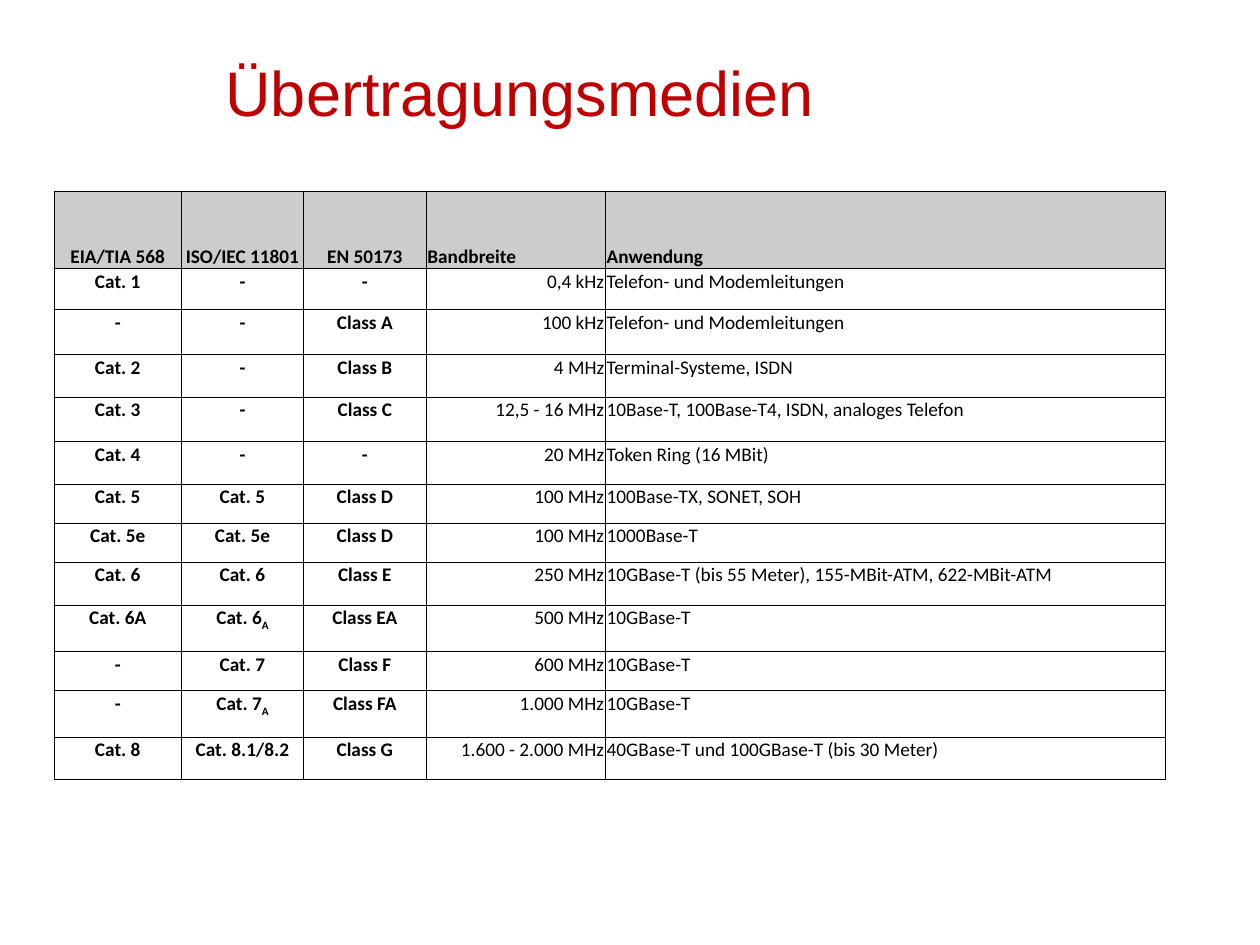
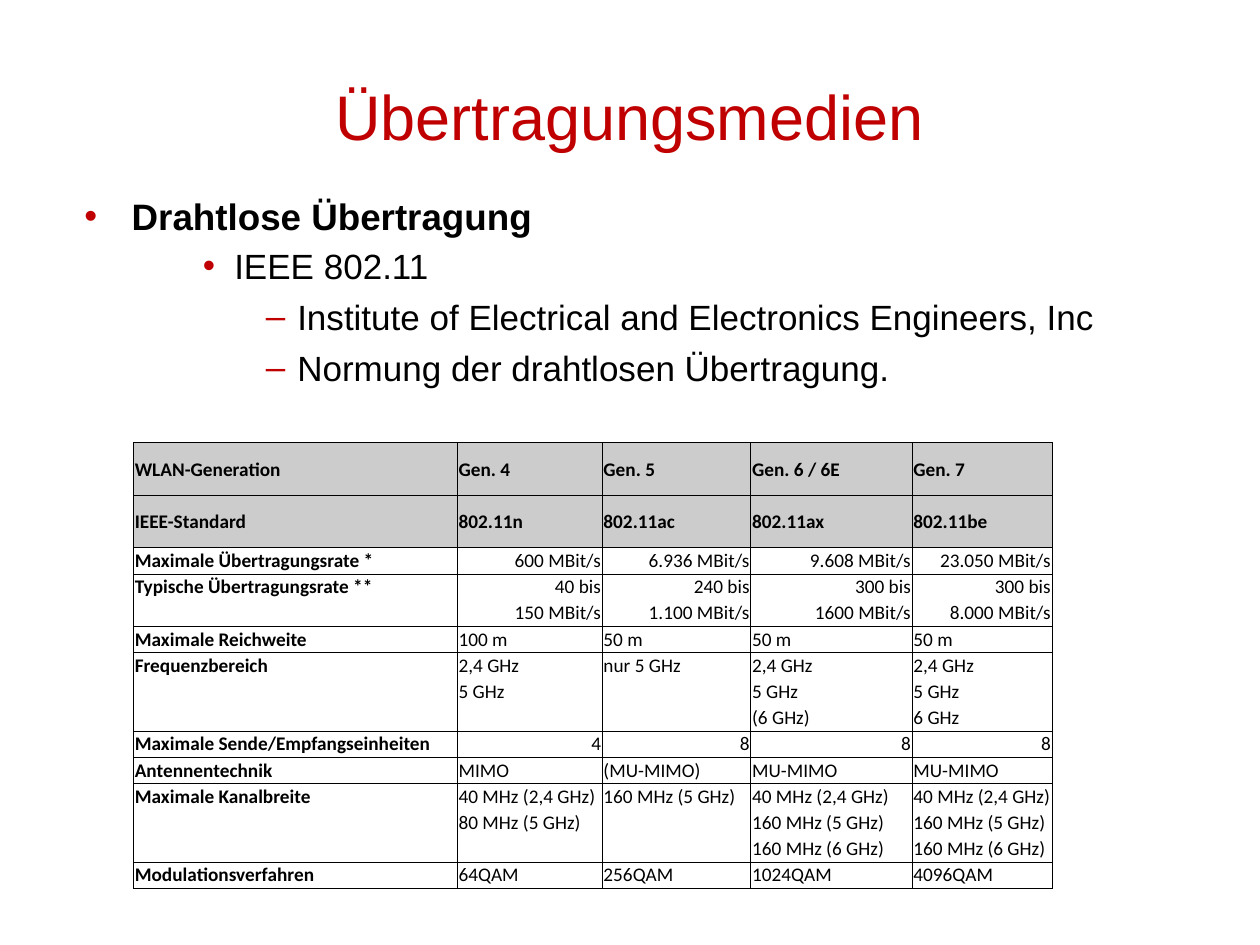
from lxml.etree import SubElement
from pptx import Presentation
from pptx.dml.color import RGBColor
from pptx.enum.text import MSO_ANCHOR as ANCHOR, PP_ALIGN as ALIGN
from pptx.oxml.ns import qn
from pptx.util import Emu, Pt

# Shared scale, colours and type
PX_PER_INCH = 1000
RED, BLACK, GREY = "C00000", "000000", "CCCCCC"
TEXT_FONT, TABLE_FONT = "Arial", "Calibri"
TABLE_SIZE = 11
TITLE = "Übertragungsmedien"

# Cable categories: EIA/TIA, ISO/IEC, EN, bandwidth, use ("_" starts a subscript)
CABLE_HEAD = ("EIA/TIA 568", "ISO/IEC 11801", "EN 50173", "Bandbreite", "Anwendung")
CABLE_ROWS = [
    ("Cat. 1", "-", "-", "0,4 kHz", "Telefon- und Modemleitungen"),
    ("-", "-", "Class A", "100 kHz", "Telefon- und Modemleitungen"),
    ("Cat. 2", "-", "Class B", "4 MHz", "Terminal-Systeme, ISDN"),
    ("Cat. 3", "-", "Class C", "12,5 - 16 MHz",
     "10Base-T, 100Base-T4, ISDN, analoges Telefon"),
    ("Cat. 4", "-", "-", "20 MHz", "Token Ring (16 MBit)"),
    ("Cat. 5", "Cat. 5", "Class D", "100 MHz", "100Base-TX, SONET, SOH"),
    ("Cat. 5e", "Cat. 5e", "Class D", "100 MHz", "1000Base-T"),
    ("Cat. 6", "Cat. 6", "Class E", "250 MHz",
     "10GBase-T (bis 55 Meter), 155-MBit-ATM, 622-MBit-ATM"),
    ("Cat. 6A", "Cat. 6_A", "Class EA", "500 MHz", "10GBase-T"),
    ("-", "Cat. 7", "Class F", "600 MHz", "10GBase-T"),
    ("-", "Cat. 7_A", "Class FA", "1.000 MHz", "10GBase-T"),
    ("Cat. 8", "Cat. 8.1/8.2", "Class G", "1.600 - 2.000 MHz",
     "40GBase-T und 100GBase-T (bis 30 Meter)"),
]
CABLE_COLS = (1010, 970, 973, 1423, 4444)
CABLE_HEIGHTS = (615, 325, 355, 340, 350, 340, 310, 310, 340, 370, 310, 370, 335)

# WLAN generations: alignment of the values, then label and values;
# each line of a value takes a table row, a lone line spans its whole group
WLAN_HEAD = [
    ("WLAN-Generation", "Gen. 4", "Gen. 5", "Gen. 6 / 6E", "Gen. 7"),
    ("IEEE-Standard", "802.11n", "802.11ac", "802.11ax", "802.11be"),
]
WLAN_GROUPS = [
    (ALIGN.RIGHT, ("Maximale Übertragungsrate *", "600 MBit/s", "6.936 MBit/s",
                   "9.608 MBit/s", "23.050 MBit/s")),
    (ALIGN.RIGHT, ("Typische Übertragungsrate **", "40 bis\n150 MBit/s",
                   "240 bis\n1.100 MBit/s", "300 bis\n1600 MBit/s",
                   "300 bis\n8.000 MBit/s")),
    (ALIGN.LEFT, ("Maximale Reichweite", "100 m", "50 m", "50 m", "50 m")),
    (ALIGN.LEFT, ("Frequenzbereich", "2,4 GHz\n5 GHz", "nur 5 GHz",
                  "2,4 GHz\n5 GHz\n(6 GHz)", "2,4 GHz\n5 GHz\n6 GHz")),
    (ALIGN.RIGHT, ("Maximale Sende/Empfangseinheiten", "4", "8", "8", "8")),
    (ALIGN.LEFT, ("Antennentechnik", "MIMO", "(MU-MIMO)", "MU-MIMO", "MU-MIMO")),
    (ALIGN.LEFT, ("Maximale Kanalbreite", "40 MHz (2,4 GHz)\n80 MHz (5 GHz)",
                  "160 MHz (5 GHz)",
                  "40 MHz (2,4 GHz)\n160 MHz (5 GHz)\n160 MHz (6 GHz)",
                  "40 MHz (2,4 GHz)\n160 MHz (5 GHz)\n160 MHz (6 GHz)")),
    (ALIGN.LEFT, ("Modulationsverfahren", "64QAM", "256QAM", "1024QAM", "4096QAM")),
]
WLAN_COLS = (2570, 1150, 1180, 1280, 1110)
WLAN_HEAD_HEIGHT, WLAN_LINE_HEIGHT = 418, 208


def px(n):
    return Emu(round(n * 914400 / PX_PER_INCH))


def rgb(color):
    return RGBColor.from_string(color)


# Text
def add_text(p, text, size=20, color=BLACK, bold=False, font=TEXT_FONT,
             align=ALIGN.LEFT, line=None, before=0):
    p.alignment = align
    p.space_before = Pt(before)
    if line:
        p.line_spacing = Pt(line)
    for i, part in enumerate(text.split("_")):
        r = p.add_run()
        r.text = part
        r.font.size, r.font.bold, r.font.name = Pt(size), bold, font
        r.font.color.rgb = rgb(color)
        if i:
            r.font._element.set("baseline", "-25000")


def add_box(s, x, y, w, h):
    tf = s.shapes.add_textbox(px(x), px(y), px(w), px(h)).text_frame
    tf.word_wrap = True
    tf.margin_left = tf.margin_top = tf.margin_right = tf.margin_bottom = 0
    return tf


def add_title(s, x, y, w, align=ALIGN.LEFT):
    p = add_box(s, x, y, w, 600).paragraphs[0]
    add_text(p, TITLE, size=36, color=RED, align=align, line=40.2)


def add_bullet(p, char, text, left, hang, **fmt):
    pPr = p._p.get_or_add_pPr()
    pPr.set("marL", str(px(left)))
    pPr.set("indent", str(-px(hang)))
    color = SubElement(pPr, qn("a:buClr"))
    SubElement(color, qn("a:srgbClr"), val=RED)
    SubElement(pPr, qn("a:buFont"), typeface=TEXT_FONT)
    SubElement(pPr, qn("a:buChar"), char=char)
    add_text(p, text, **fmt)


# Tables
def add_table(s, x, y, cols, heights):
    frame = s.shapes.add_table(len(heights), len(cols), px(x), px(y),
                               px(sum(cols)), px(sum(heights)))
    table = frame.table
    table.first_row = table.horz_banding = False
    for col, w in zip(table.columns, cols):
        col.width = px(w)
    for row, h in zip(table.rows, heights):
        row.height = px(h)
    return table


def set_borders(cell, sides):
    tcPr = cell._tc.get_or_add_tcPr()
    for side in "LRTB":
        ln = SubElement(tcPr, qn(f"a:ln{side}"), w=str(Pt(0.5)))
        if side in sides:
            fill = SubElement(ln, qn("a:solidFill"))
            SubElement(fill, qn("a:srgbClr"), val=BLACK)
        else:
            SubElement(ln, qn("a:noFill"))


def fill_cell(cell, text, fill=None, sides="LRTB", anchor=ANCHOR.TOP, **fmt):
    set_borders(cell, sides)
    if fill:
        cell.fill.solid()
        cell.fill.fore_color.rgb = rgb(fill)
    else:
        cell.fill.background()
    cell.margin_left = cell.margin_top = cell.margin_right = px(10)
    cell.margin_bottom = 0
    cell.vertical_anchor = anchor
    p = cell.text_frame.paragraphs[0]
    if text:
        add_text(p, text, size=TABLE_SIZE, font=TABLE_FONT, **fmt)
    else:  # keeps an empty row as low as its neighbours
        p._p.get_or_add_endParaRPr().set("sz", str(TABLE_SIZE * 100))


def add_cable_table(s):
    table = add_table(s, 430, 1518, CABLE_COLS, CABLE_HEIGHTS)
    aligns = [ALIGN.CENTER] * 3 + [ALIGN.RIGHT, ALIGN.LEFT]
    for c, text in enumerate(CABLE_HEAD):
        fill_cell(table.cell(0, c), text, fill=GREY, anchor=ANCHOR.BOTTOM, bold=True,
                  align=ALIGN.CENTER if c < 3 else ALIGN.LEFT)
    for r, row in enumerate(CABLE_ROWS, 1):
        for c, text in enumerate(row):
            fill_cell(table.cell(r, c), text, bold=c < 3, align=aligns[c])


def add_wlan_group(table, top, align, texts):
    columns = [text.split("\n") for text in texts]
    height = max(map(len, columns))
    for c, lines in enumerate(columns):
        spans = len(lines) == 1 and height > 1
        for i in range(height):
            sides = "LR" + "T" * (i == 0) + "B" * (i == height - 1)
            fill_cell(table.cell(top + i, c), lines[i] if i < len(lines) else "",
                      sides="LRTB" if spans else sides, bold=c == 0,
                      align=align if c else ALIGN.LEFT)
        if spans:
            table.cell(top, c).merge(table.cell(top + height - 1, c))
    return top + height


def add_wlan_table(s):
    line_count = sum(max(t.count("\n") + 1 for t in texts) for _, texts in WLAN_GROUPS)
    heights = [WLAN_HEAD_HEIGHT] * len(WLAN_HEAD) + [WLAN_LINE_HEIGHT] * line_count
    table = add_table(s, 1060, 3512, WLAN_COLS, heights)
    for r, row in enumerate(WLAN_HEAD):
        for c, text in enumerate(row):
            fill_cell(table.cell(r, c), text, fill=GREY, anchor=ANCHOR.MIDDLE, bold=True)
    top = len(WLAN_HEAD)
    for align, texts in WLAN_GROUPS:
        top = add_wlan_group(table, top, align, texts)


# Slides
def build_cable_slide(s):
    add_title(s, 410, 470, 7430, align=ALIGN.CENTER)
    add_cable_table(s)


def build_wlan_slide(s):
    add_title(s, 2660, 660, 4840)
    p = add_box(s, 670, 1560, 3710, 370).paragraphs[0]
    add_bullet(p, "•", "Drahtlose Übertragung", 375, 375, size=21, bold=True, line=23.5)
    tf = add_box(s, 1610, 1960, 7230, 1150)
    add_bullet(tf.paragraphs[0], "•", "IEEE 802.11", 250, 250, line=22.4)
    for text in ("Institute of Electrical and Electronics Engineers, Inc",
                 "Normung der drahtlosen Übertragung."):
        add_bullet(tf.add_paragraph(), "–", text, 750, 250, line=22.4, before=6.9)
    add_wlan_table(s)


def main():
    prs = Presentation()
    prs.slide_width, prs.slide_height = px(10000), px(7500)
    for build in (build_cable_slide, build_wlan_slide):
        build(prs.slides.add_slide(prs.slide_layouts[6]))
    prs.save("out.pptx")


if __name__ == "__main__":
    main()
